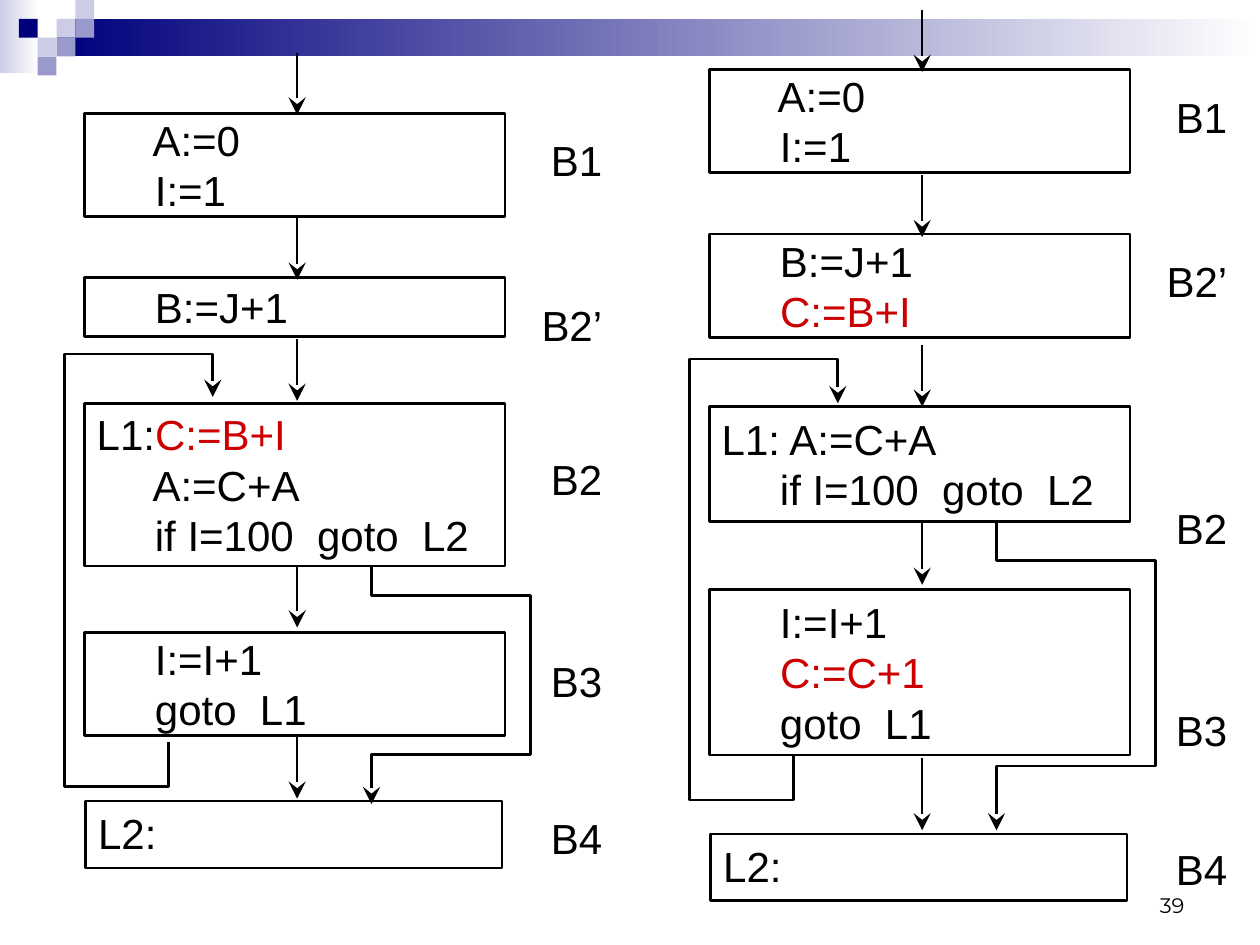
"""Build a slide with two flow graphs of a loop, before and after strength reduction."""
from dataclasses import dataclass

import lxml.etree
import pptx
import pptx.dml.color
import pptx.enum.shapes
import pptx.enum.text
import pptx.oxml.ns
import pptx.util

Cm = pptx.util.Cm
RECT = pptx.enum.shapes.MSO_SHAPE.RECTANGLE
ALIGN = pptx.enum.text.PP_ALIGN
ANCHOR = pptx.enum.text.MSO_ANCHOR


@dataclass(frozen=True)
class Theme:
    ink: str = "000000"
    accent: str = "CC0000"
    navy: str = "00007D"
    mid: str = "9999CC"
    pale: str = "CCCCE6"
    white: str = "FFFFFF"
    font: str = "Arial"
    number_font: str = "Montserrat"
    size: int = 24
    number_size: int = 12
    line: float = 1.5


THEME = Theme()
PAGE_NUMBER = "39"

GRAPHS = [
    {
        "left": 0,
        "blocks": [
            ("B1", 2.29, 2.08, 2.59, ["     A:=0", "     I:=1"]),
            ("B2’", 5.59, 1.19, 5.92, ["     B:=J+1"]),
            ("B2", 8.13, 3.28, 9.02, ["L1:|C:=B+I", "     A:=C+A", "     if I=100  goto  L2"]),
            ("B3", 12.75, 2.08, 13.08, ["     I:=I+1", "     goto  L1"]),
            ("B4", 16.15, 1.35, 16.26, ["L2:"]),
        ],
        "arrows": [(1.07, 2.31), (4.39, 5.64), (6.83, 8.08), (11.4, 12.65), (14.86, 16.1)],
        "back": (14.96, 15.85, 7.14, 8.0),
        "exit": (11.4, 12.01, 15.21, 16.21),
    },
    {
        "left": 12.6,
        "blocks": [
            ("B1", 1.4, 2.08, 1.73, ["     A:=0", "     I:=1"]),
            ("B2’", 4.72, 2.08, 5.03, ["     B:=J+1", "     |C:=B+I"]),
            ("B2", 8.2, 2.31, 10.01, ["L1: A:=C+A", "     if I=100  goto  L2"]),
            ("B3", 11.89, 3.33, 14.07, ["     I:=I+1", "     |C:=C+1", "     goto  L1"]),
            ("B4", 16.81, 1.35, 16.87, ["L2:"]),
        ],
        "arrows": [(0.2, 1.45), (3.53, 4.78), (6.96, 8.2), (10.52, 11.79), (15.29, 16.74)],
        "back": (15.24, 16.13, 7.24, 8.13),
        "exit": (10.52, 11.3, 15.44, 16.74),
    },
]
BLOCK_X, BLOCK_W = 1.7, 8.48
LINE_H, MAX_INSET = 1.02, 0.13
LABEL_X, LABEL_W, LABEL_H = 10.62, 1.88, 1.27
ARROW_X = 5.99
BACK_X = (3.4, 1.3, 4.29)
EXIT_X = (7.49, 10.69, 7.49)

CELL = 0.38
BANDS = [(0, 0, 0.79, 1.47, THEME.pale), (1.14, 0.38, 24.26, 0.76, THEME.navy)]
TILES = [
    (3, 1, THEME.pale), (4, 0, THEME.pale), (4, 1, THEME.mid), (2, 2, THEME.pale),
    (1, 1, THEME.navy), (3, 2, THEME.mid), (2, 3, THEME.mid),
]


def rgb(value):
    return pptx.dml.color.RGBColor.from_string(value)


def add_rect(s, x, y, w, h):
    sp = s.shapes.add_shape(RECT, Cm(x), Cm(y), Cm(w), Cm(h))
    sp.shadow.inherit = False
    return sp


def draw_line(sp):
    sp.line.color.rgb = rgb(THEME.ink)
    sp.line.width = pptx.util.Pt(THEME.line)


def add_head(sp):
    draw_line(sp)
    ns = pptx.oxml.ns.qn
    ln = sp._element.spPr.find(ns("a:ln"))
    lxml.etree.SubElement(ln, ns("a:tailEnd"), type="stealth", w="lg", len="lg")
    if sp._element.spPr.find(ns("a:effectLst")) is None:
        lxml.etree.SubElement(sp._element.spPr, ns("a:effectLst"))


def format_run(r, color, font=THEME.font, size=THEME.size):
    r.font.name = font
    r.font.size = pptx.util.Pt(size)
    r.font.color.rgb = rgb(color)


def add_band(s, x, y, w, h, color):
    sp = add_rect(s, x, y, w, h)
    sp.line.fill.background()
    sp.fill.gradient()
    sp.fill.gradient_angle = 180
    for stop, position, shade in zip(sp.fill.gradient_stops, (0, 1), (THEME.white, color)):
        stop.position = position
        stop.color.rgb = rgb(shade)


def add_tile(s, column, row, color):
    sp = add_rect(s, column * CELL, row * CELL, CELL, CELL)
    sp.line.fill.background()
    sp.fill.solid()
    sp.fill.fore_color.rgb = rgb(color)


def add_block(s, x, y, w, h, lines):
    sp = add_rect(s, x, y, w, h)
    sp.fill.background()
    draw_line(sp)
    tf = sp.text_frame
    tf.word_wrap = True
    tf.vertical_anchor = ANCHOR.TOP
    tf.margin_top = Cm(min(MAX_INSET, (h - len(lines) * LINE_H) / 2))
    tf.margin_right = tf.margin_bottom = 0
    for i, line in enumerate(lines):
        p = tf.paragraphs[0] if i == 0 else tf.add_paragraph()
        p.alignment = ALIGN.LEFT
        for part, color in zip(line.split("|"), (THEME.ink, THEME.accent)):
            r = p.add_run()
            r.text = part
            format_run(r, color)


def add_label(s, x, y, w, h, text, **style):
    tf = s.shapes.add_textbox(Cm(x), Cm(y), Cm(w), Cm(h)).text_frame
    tf.word_wrap = True
    tf.text = text
    p = tf.paragraphs[0]
    p.alignment = ALIGN.RIGHT
    format_run(p.runs[0], THEME.ink, **style)
    return tf


def add_arrow(s, x, top, bottom):
    kind = pptx.enum.shapes.MSO_CONNECTOR.STRAIGHT
    add_head(s.shapes.add_connector(kind, Cm(x), Cm(top), Cm(x), Cm(bottom)))


def add_route(s, left, xs, ys):
    first, side, last = (left + x for x in xs)
    start, leave, enter, end = ys
    corners = [(first, leave), (side, leave), (side, enter), (last, enter), (last, end)]
    path = s.shapes.build_freeform(Cm(first), Cm(start))
    path.add_line_segments([(Cm(x), Cm(y)) for x, y in corners], close=False)
    sp = path.convert_to_shape()
    sp.shadow.inherit = False
    sp.fill.background()
    add_head(sp)


def add_graph(s, graph):
    left = graph["left"]
    for name, y, h, label_y, lines in graph["blocks"]:
        inset = 0.03 if name == "B4" else 0
        add_block(s, left + BLOCK_X + inset, y, BLOCK_W - 3 * inset, h, lines)
        tf = add_label(s, left + LABEL_X, label_y, LABEL_W, LABEL_H, name)
        tf.margin_left, tf.margin_right = 0, Cm(0.36)
    for top, bottom in graph["arrows"]:
        add_arrow(s, left + ARROW_X, top, bottom)
    add_route(s, left, BACK_X, graph["back"])
    add_route(s, left, EXIT_X, graph["exit"])


def main():
    prs = pptx.Presentation()
    prs.slide_width, prs.slide_height = Cm(25.4), Cm(19.05)
    s = prs.slides.add_slide(prs.slide_layouts[6])
    for band in BANDS:
        add_band(s, *band)
    for tile in TILES:
        add_tile(s, *tile)
    for graph in GRAPHS:
        add_graph(s, graph)
    tf = add_label(s, 18.21, 17.35, 5.92, 1.27, PAGE_NUMBER,
                   font=THEME.number_font, size=THEME.number_size)
    tf.vertical_anchor = ANCHOR.BOTTOM
    prs.save("out.pptx")


if __name__ == "__main__":
    main()
